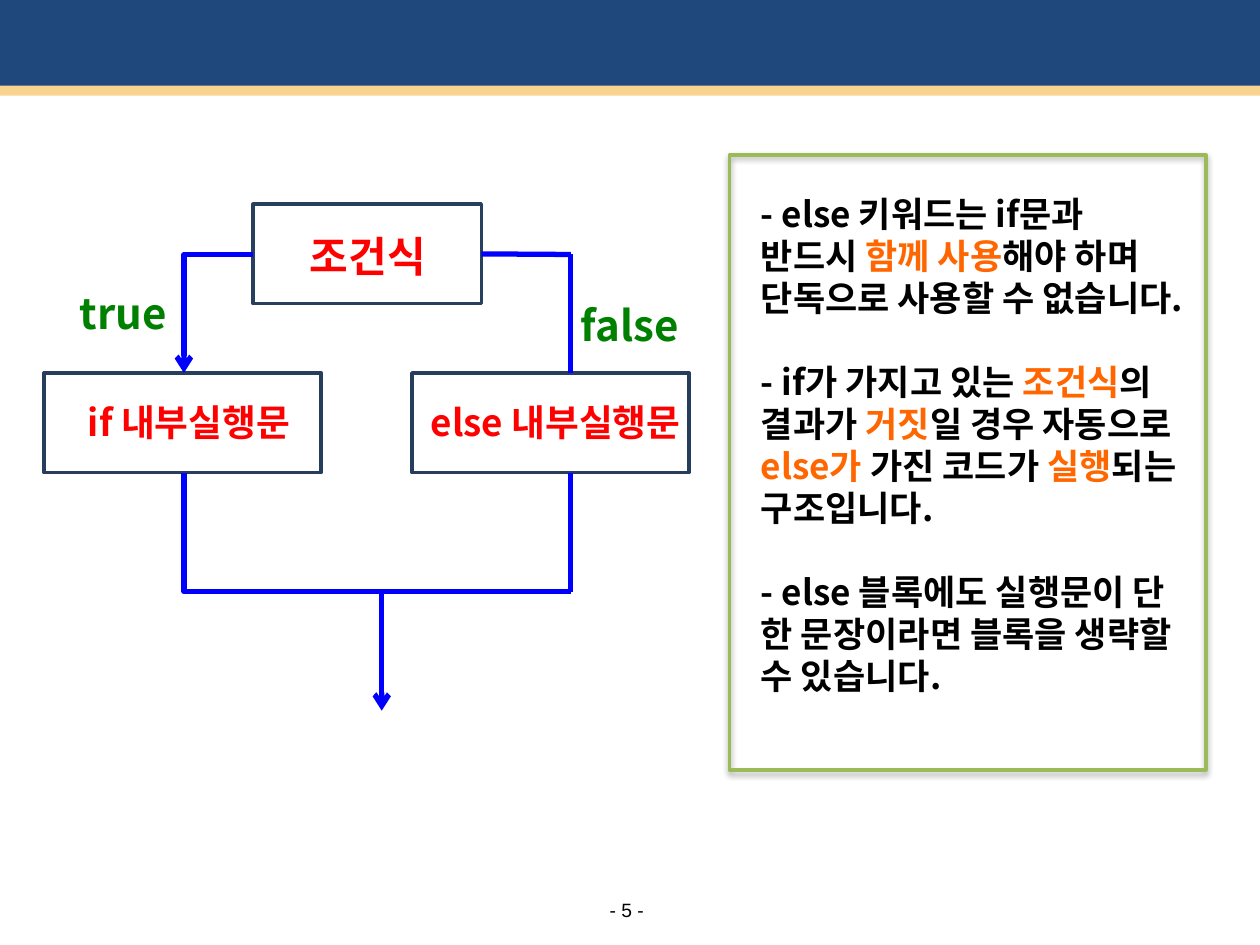
from lxml import etree
from pptx import Presentation
from pptx.dml.color import RGBColor
from pptx.enum.shapes import MSO_CONNECTOR as Link, MSO_SHAPE as Kind
from pptx.enum.text import MSO_ANCHOR as Anchor, PP_ALIGN as Align
from pptx.oxml.ns import qn
from pptx.util import Inches, Pt

HAN = "Noto Sans CJK KR"
BLACK, RED, GREEN, BLUE, HOT = "000000", "FF0000", "008000", "0000FF", "FF6600"

BANDS = [((0, -0.03, 10, 0.76), "1F497D"), ((0, 0.68, 10, 0.08), "F9D490")]

NOTES = [
    [("- else 키워드는 if문과 반드시 ", BLACK), ("함께 사용", HOT),
     ("해야 하며 단독으로 사용할 수 없습니다.", BLACK)],
    [("- if가 가지고 있는 ", BLACK), ("조건식", HOT), ("의 결과가 ", BLACK),
     ("거짓", HOT), ("일 경우 자동으로 ", BLACK), ("else가", HOT),
     (" 가진 코드가 ", BLACK), ("실행", HOT), ("되는 구조입니다.", BLACK)],
    [("- else 블록에도 실행문이 단 한 문장이라면 블록을 생략할 수 있습니다.", BLACK)],
]

BOXES = {
    "test": ((2.01, 1.62, 1.81, 0.79), "27405E"),
    "if": ((0.35, 2.96, 2.2, 0.79), "263E5B"),
    "else": ((3.27, 2.96, 2.2, 0.79), "263E5B"),
}

LABELS = [
    ("조건식", (2.17, 1.78, 1.5, 0.49), 24, RED),
    ("if 내부실행문", (0.28, 3.12, 2.44, 0.45), 21, RED),
    ("else 내부실행문", (3.19, 3.12, 2.44, 0.45), 21, RED),
    ("true", (0.35, 2.23, 1.26, 0.5), 24, GREEN),
    ("false", (4.37, 2.33, 1.26, 0.5), 24, GREEN),
]

LEFT, RIGHT, EXIT = 1.46, 4.53, 3.03
TOP, ROW, FOOT, END = 2.02, 2.96, 3.75, 5.64
JOIN = (FOOT + END) / 2


def tint(code):
    return RGBColor.from_string(code)


def add_sub(node, tag, **attrs):
    return etree.SubElement(node, qn(tag), attrs)


def add_text(paras, at, size, color=BLACK, font=HAN, bold=True, align=Align.LEFT,
             anchor=Anchor.TOP, pads=(0.1, 0.05), wrap=True, lead=1.2, gap=0):
    frame = slide.shapes.add_textbox(*map(Inches, at)).text_frame
    frame.word_wrap = wrap
    frame.vertical_anchor = anchor
    frame.margin_left = frame.margin_right = Inches(pads[0])
    frame.margin_top = frame.margin_bottom = Inches(pads[1])
    if isinstance(paras, str):
        paras = [[(paras, color)]]
    for i, runs in enumerate(paras):
        para = frame.paragraphs[0] if i == 0 else frame.add_paragraph()
        para.alignment = align
        para.line_spacing = Pt(size * lead)
        if i:
            para.space_before = Pt(gap)
        for words, shade in runs:
            run = para.add_run()
            run.text = words
            run.font.size = Pt(size)
            run.font.bold = bold
            run.font.name = font
            run.font.color.rgb = tint(shade)
            add_sub(run.font._element, "a:ea", typeface=HAN)


def add_box(at, kind=Kind.FLOWCHART_PROCESS, fill=None, line=None):
    box = slide.shapes.add_shape(kind, *map(Inches, at))
    box.shadow.inherit = False
    if fill:
        box.fill.solid()
        box.fill.fore_color.rgb = tint(fill)
    else:
        box.fill.background()
    if line:
        box.line.color.rgb = tint(line)
        box.line.width = Pt(2)
    else:
        box.line.fill.background()
    return box


def add_line(start, stop, kind=Link.STRAIGHT, arrow=False):
    link = slide.shapes.add_connector(kind, *map(Inches, start + stop))
    link.line.color.rgb = tint(BLUE)
    link.line.width = Pt(3)
    if arrow:
        add_sub(link.line._get_or_add_ln(), "a:tailEnd", type="arrow")
    add_sub(link._element.spPr, "a:effectLst")
    return link


deck = Presentation()
deck.slide_width, deck.slide_height = Inches(10), Inches(7.5)
slide = deck.slides.add_slide(deck.slide_layouts[6])

for at, fill in BANDS:
    add_box(at, Kind.RECTANGLE, fill=fill)
add_text("- 5 -", (4.76, 7.13, 0.43, 0.19), 11, font="Arial", bold=False,
         align=Align.CENTER, anchor=Anchor.MIDDLE, pads=(0, 0), wrap=False, lead=1.15)

panel = add_box((5.79, 1.23, 3.78, 4.88), line="9BBB59")
glow = add_sub(panel._element.spPr.find(qn("a:effectLst")), "a:outerShdw",
               blurRad="40000", dist="23000", dir="5400000", rotWithShape="0")
add_sub(add_sub(glow, "a:srgbClr", val=BLACK), "a:alpha", val="35000")
add_text(NOTES, (5.94, 1.48, 3.54, 4.48), 20, gap=24)

boxes = {name: add_box(at, line=line) for name, (at, line) in BOXES.items()}

bend = add_line((2.01, TOP), (LEFT, ROW), Link.ELBOW, arrow=True)
bend._element.spPr.find(qn("a:prstGeom")).set("prst", "bentConnector2")

wide, tall = EXIT - LEFT, END - FOOT
midx = (LEFT + EXIT) / 2
turn = add_line((midx + tall / 2, JOIN - wide / 2), (midx - tall / 2, JOIN + wide / 2),
                Link.ELBOW, arrow=True)
turn._element.spPr.find(qn("a:xfrm")).set("rot", "16200000")

add_line((3.82, TOP), (RIGHT, TOP)).begin_connect(boxes["test"], 3)
for start, stop in [((RIGHT, TOP), (RIGHT, ROW)), ((RIGHT, FOOT), (RIGHT, JOIN)),
                    ((RIGHT, JOIN), (2.72, JOIN))]:
    add_line(start, stop)

for words, at, size, color in LABELS:
    add_text(words, at, size, color, align=Align.CENTER)

deck.save("out.pptx")
